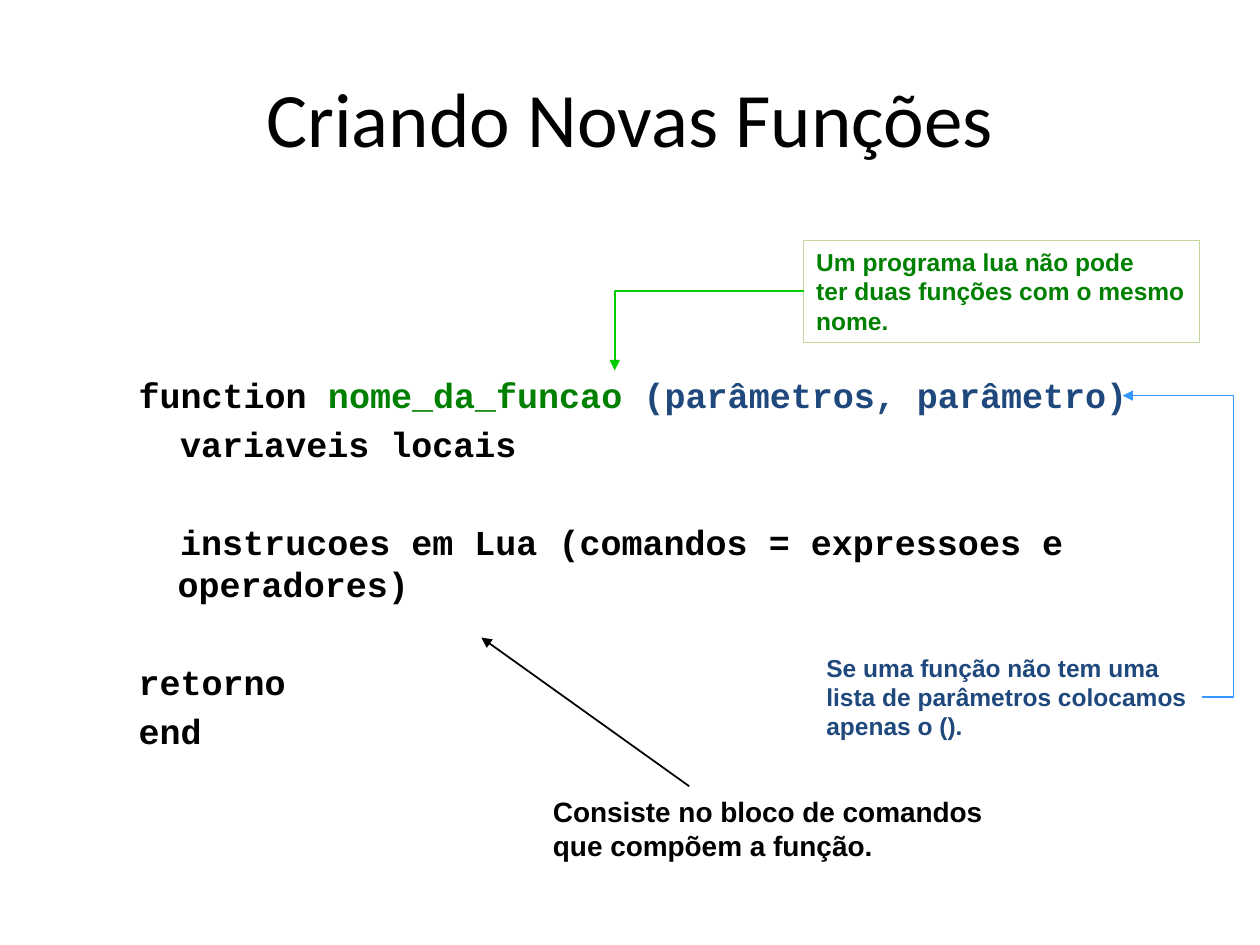
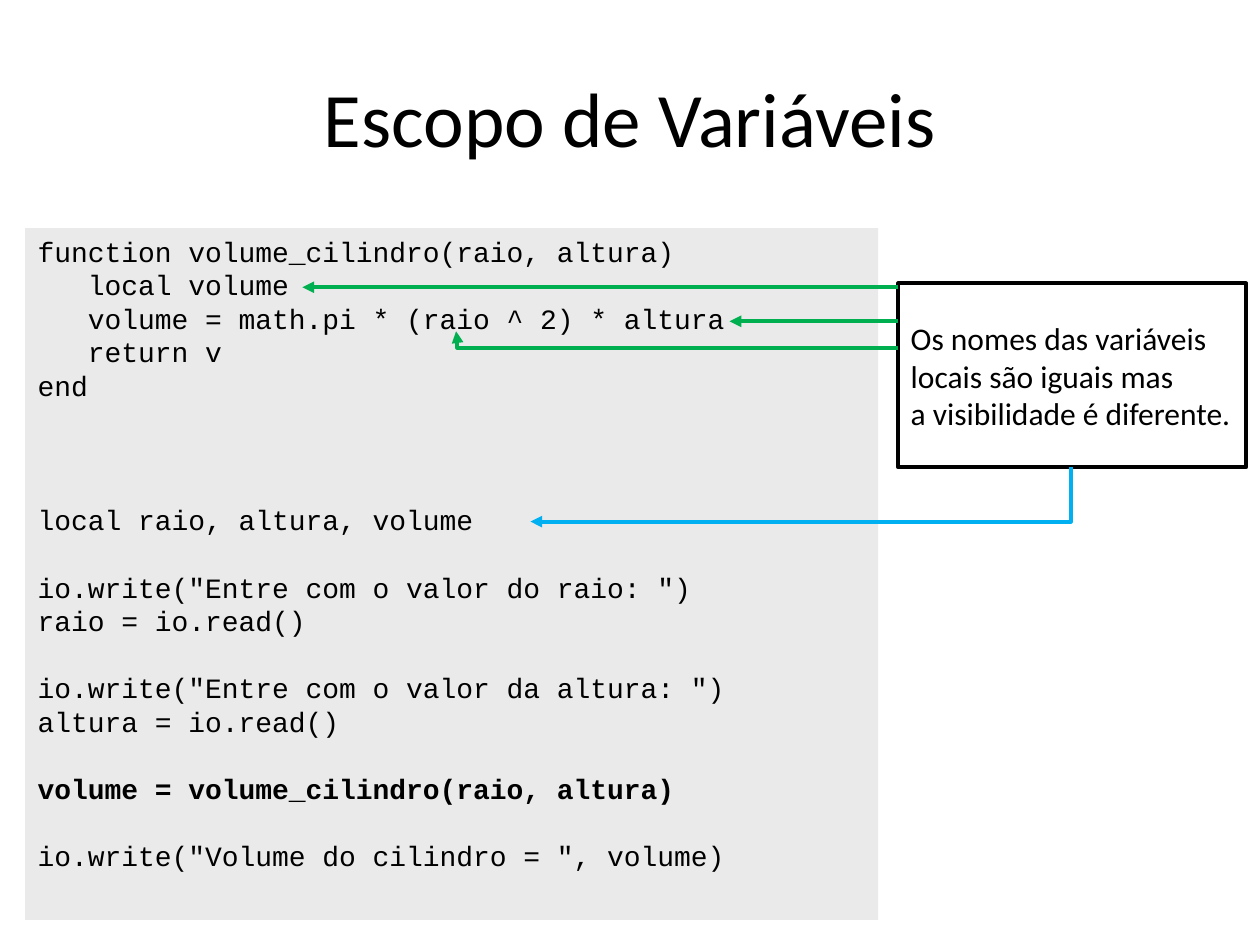
"""Build two slides on writing functions and on variable scope in Lua."""
from dataclasses import dataclass

from lxml import etree
from pptx import Presentation, util as u
from pptx.dml import color
from pptx.enum import shapes, text
from pptx.oxml import ns


@dataclass(frozen=True)
class Theme:
    black: str = "000000"
    name: str = "008000"
    params: str = "1F497D"
    name_border: str = "C3D69B"
    name_arrow: str = "00CC00"
    params_arrow: str = "3399FF"
    local_arrow: str = "00B050"
    global_arrow: str = "00B0F0"
    panel: str = "EAEAEA"
    heading: str = "Calibri"
    note: str = "Arial"
    code: str = "Courier New"
    title_size: int = 44
    syntax_size: int = 20
    callout_size: int = 18
    code_size: int = 16
    note_size: int = 14
    thin: float = 1
    thick: float = 2.25


class Deck:
    def __init__(self, theme):
        self.theme = theme
        self.prs = Presentation()
        self.prs.slide_width, self.prs.slide_height = u.Inches(10), u.Inches(7.5)
        self.s = None

    def place(self, sp, left, top, width, height):
        sp.left, sp.top = u.Inches(left), u.Inches(top)
        sp.width, sp.height = u.Inches(width), u.Inches(height)

    def font(self, r, name, size, rgb, bold=False):
        r.font.name, r.font.size, r.font.bold = name, u.Pt(size), bold
        r.font.color.rgb = color.RGBColor.from_string(rgb)

    def slide(self, layout, title):
        self.s = self.prs.slides.add_slide(self.prs.slide_layouts[layout])
        sp = self.s.shapes.title
        self.place(sp, 0.5, 0.3, 9, 1.25)
        tf = sp.text_frame
        tf.text = title
        tf.vertical_anchor = text.MSO_ANCHOR.MIDDLE
        p = tf.paragraphs[0]
        p.alignment = text.PP_ALIGN.CENTER
        self.font(p.runs[0], self.theme.heading, self.theme.title_size, self.theme.black)

    def code(self, tf, lines, size, gap=0):
        for i, (runs, margin, indent, skipped, bold) in enumerate(lines):
            p = tf.paragraphs[0] if i == 0 else tf.add_paragraph()
            pPr = p._p.get_or_add_pPr()
            pPr.set("marL", str(u.Inches(margin)))
            pPr.set("indent", str(u.Inches(indent)))
            p.alignment = text.PP_ALIGN.LEFT
            p.space_before = u.Pt(gap + skipped * (1.2 * size + gap) if i else 0)
            etree.SubElement(pPr, ns.qn("a:buNone"))
            for words, rgb in runs:
                r = p.add_run()
                r.text = words
                self.font(r, self.theme.code, size, rgb, bold)

    def body(self, lines, top_inset):
        sp = self.s.placeholders[1]
        self.place(sp, 0.5, 1.49, 9, 4.95)
        tf = sp.text_frame
        tf.auto_size = text.MSO_AUTO_SIZE.NONE
        tf.margin_top = u.Inches(top_inset)
        self.code(tf, lines, self.theme.syntax_size, gap=4)

    def box(self, at, fill=None, line=None, width=0.75):
        sp = self.s.shapes.add_shape(shapes.MSO_SHAPE.RECTANGLE, *map(u.Inches, at))
        sp.shadow.inherit = False
        if fill:
            sp.fill.solid()
            sp.fill.fore_color.rgb = color.RGBColor.from_string(fill)
        else:
            sp.fill.background()
        if line:
            sp.line.color.rgb = color.RGBColor.from_string(line)
            sp.line.width = u.Pt(width)
        else:
            sp.line.fill.background()
        tf = sp.text_frame
        tf.word_wrap = True
        tf.vertical_anchor = text.MSO_ANCHOR.TOP
        return tf

    def label(self, at):
        return self.s.shapes.add_textbox(*map(u.Inches, at)).text_frame

    def caption(self, tf, words, name, size, rgb, bold=True):
        tf.text = words
        tf.word_wrap = False
        for p in tf.paragraphs:
            p.alignment = text.PP_ALIGN.LEFT
            for r in p.runs:
                self.font(r, name, size, rgb, bold)

    def arrow(self, start, end, rgb, width, turn=None):
        kind = shapes.MSO_CONNECTOR.STRAIGHT if turn is None else shapes.MSO_CONNECTOR.ELBOW
        cxn = self.s.shapes.add_connector(kind, *map(u.Inches, start + end))
        cxn.line.color.rgb = color.RGBColor.from_string(rgb)
        cxn.line.width = u.Pt(width)
        spPr = cxn._element.spPr
        if turn is not None:
            ratio = (turn - start[0]) / (end[0] - start[0])
            guides = spPr.find(ns.qn("a:prstGeom")).get_or_add_avLst()
            etree.SubElement(guides, ns.qn("a:gd"), name="adj1", fmla=f"val {round(ratio * 100000)}")
        etree.SubElement(spPr.find(ns.qn("a:ln")), ns.qn("a:tailEnd"), type="triangle")
        etree.SubElement(spPr, ns.qn("a:effectLst"))


def function_slide(deck):
    t = deck.theme
    deck.slide(1, "Criando Novas Funções")

    def line(words, indent=-0.31, skipped=0):
        return [(words, t.black)], 0.81, indent, skipped, True

    signature = [("function ", t.black), ("nome_da_funcao ", t.name),
                 ("(parâmetros, parâmetro)", t.params)]
    deck.body([
        (signature, 0.81, -0.31, 0, True),
        line("variaveis locais", 0.02),
        line("instrucoes em Lua (comandos = expressoes e operadores)", 0.02, 1),
        line("retorno", skipped=1),
        line("end"),
    ], top_inset=1.47)

    tf = deck.box((6.38, 1.91, 3.14, 0.81), line=t.name_border)
    deck.caption(tf, "Um programa lua não pode\nter duas funções com o mesmo\nnome.",
                 t.note, t.note_size, t.name)
    tf = deck.label((6.46, 5.13, 3.07, 0.81))
    deck.caption(tf, "Se uma função não tem uma\nlista de parâmetros colocamos\napenas o ().",
                 t.note, t.note_size, t.params)
    tf = deck.label((4.29, 6.26, 3.62, 0.64))
    deck.caption(tf, "Consiste no bloco de comandos\nque compõem a função.",
                 t.note, t.code_size, t.black)

    deck.arrow((6.38, 2.31), (4.88, 2.94), t.name_arrow, t.thin, turn=4.88)
    deck.arrow((9.54, 5.53), (8.91, 3.14), t.params_arrow, t.thin, turn=9.79)
    deck.arrow((5.47, 6.24), (3.82, 5.06), t.black, t.thin)


def scope_slide(deck):
    t = deck.theme
    deck.slide(5, "Escopo de Variáveis")

    def line(words, margin=0, skipped=0, bold=False):
        return [(words, t.black)], margin, 0, skipped, bold

    tf = deck.box((0.2, 1.81, 6.77, 5.49), fill=t.panel)
    deck.code(tf, [
        line("function volume_cilindro(raio, altura)"),
        line("local volume", 0.4),
        line("volume = math.pi * (raio ^ 2) * altura", 0.4),
        line("return v", 0.4),
        line("end"),
        line("local raio, altura, volume", skipped=3),
        line('io.write("Entre com o valor do raio: ")', skipped=1),
        line("raio = io.read()"),
        line('io.write("Entre com o valor da altura: ")', skipped=1),
        line("altura = io.read()"),
        line("volume = volume_cilindro(raio, altura)", skipped=1, bold=True),
        line('io.write("Volume do cilindro = ", volume)', skipped=1),
    ], t.code_size)

    tf = deck.box((7.13, 2.25, 2.76, 1.46), line=t.black, width=t.thick)
    tf.vertical_anchor = text.MSO_ANCHOR.MIDDLE
    deck.caption(tf, "Os nomes das variáveis\nlocais são iguais mas\na visibilidade é diferente.",
                 t.heading, t.callout_size, t.black, bold=False)

    for y, x in ((2.28, 2.4), (2.55, 5.79)):
        deck.arrow((7.13, y), (x, y), t.local_arrow, t.thick)
    deck.arrow((7.13, 2.76), (3.62, 2.63), t.local_arrow, t.thick, turn=3.63)
    deck.arrow((8.5, 3.71), (4.21, 4.14), t.global_arrow, t.thick, turn=8.5)


def main():
    deck = Deck(Theme())
    function_slide(deck)
    scope_slide(deck)
    deck.prs.save("out.pptx")


if __name__ == "__main__":
    main()
